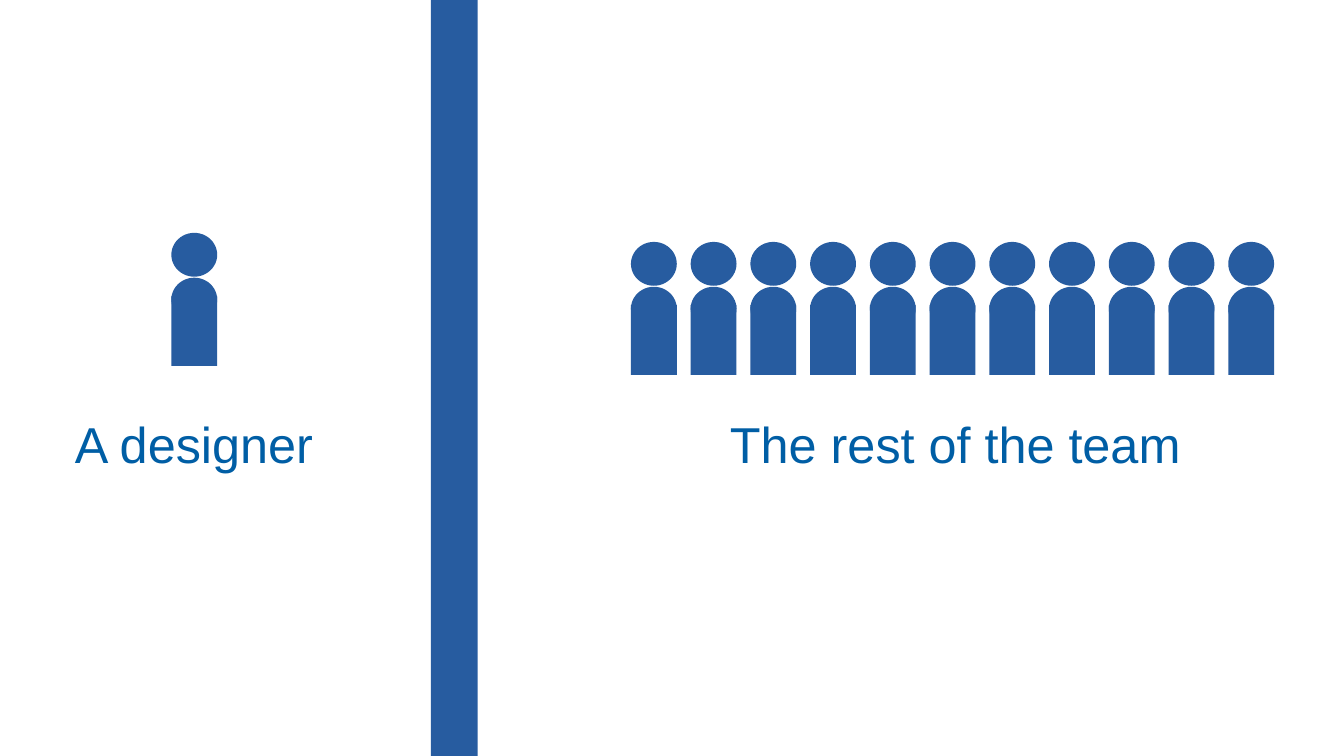
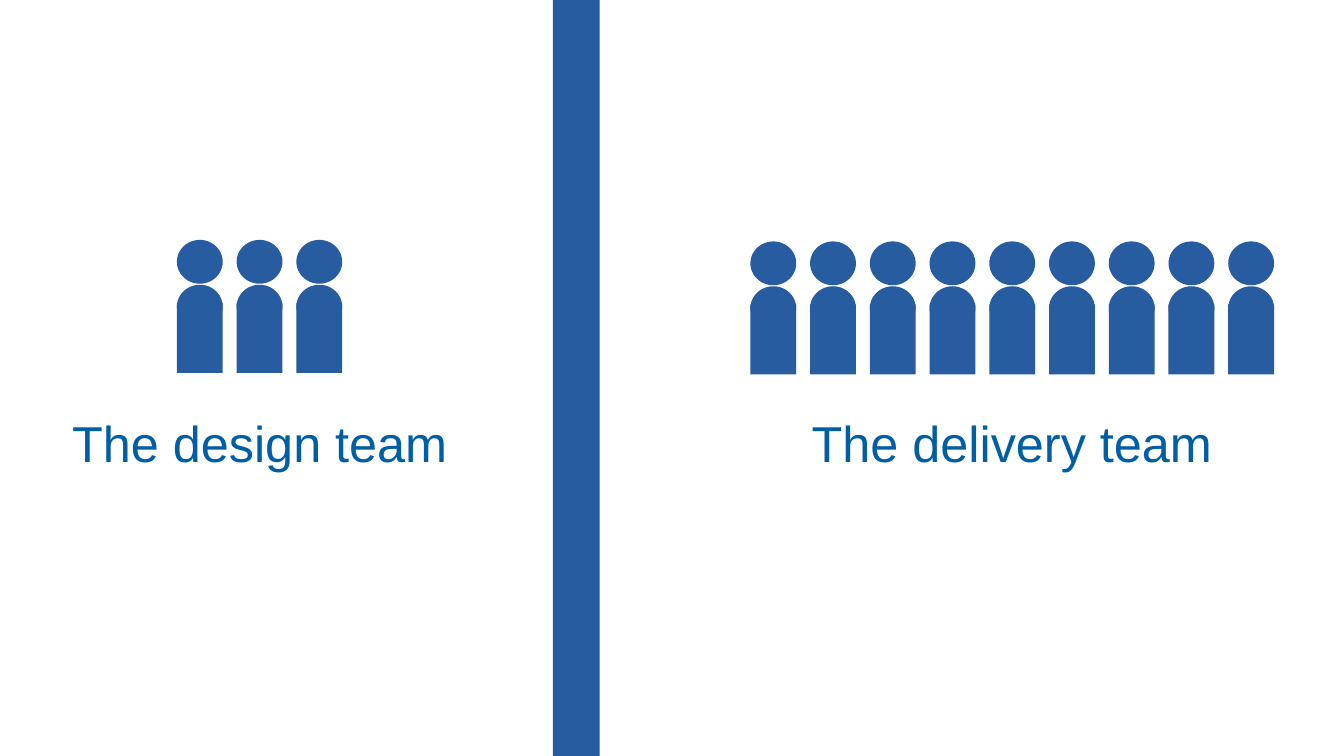
from pptx import Presentation
from pptx import util as u
from pptx.dml.color import RGBColor
from pptx.enum import shapes, text

COLORS = {"figure": "275CA0", "label": "005EA5"}
FONT = "Arial"
W, H = 26.67, 15
PITCH = W / 22.5  # one column per person
PERSON_W, HEAD_H = 0.91, 0.87
BAR_W, BLEED = 0.93, 0.8
LABEL_H = 2.81

# Parts of a person: preset shape, offset from the top of the head, height
PERSON = [
    (shapes.MSO_SHAPE.OVAL, 0, HEAD_H),
    (shapes.MSO_SHAPE.OVAL, 0.89, HEAD_H),
    (shapes.MSO_SHAPE.RECTANGLE, 1.25, 1.39),
]

# Each team: label, label left, label width, people, first person's left, top
SLIDES = [
    {"bar": 8.55, "label_top": 7.39, "teams": [
        ("A designer", 0.76, 6.18, 1, 3.4, 4.62),
        ("The rest of the team", 12.44, 13.04, 11, 12.52, 4.8)]},
    {"bar": 10.97, "label_top": 7.37, "teams": [
        ("The design team", 0.46, 9.39, 3, 3.51, 4.76),
        ("The delivery team", 13.56, 13.04, 9, 14.89, 4.79)]},
]


def add_block(parent, preset, x, y, w, h):
    """Add a plain filled shape to a slide's or a group's shapes."""
    sp = parent.add_shape(preset, u.Inches(x), u.Inches(y), u.Inches(w), u.Inches(h))
    sp.shadow.inherit = False
    sp.fill.solid()
    sp.fill.fore_color.rgb = RGBColor.from_string(COLORS["figure"])
    sp.line.fill.background()


def write_label(sp, label, x, y, w):
    sp.left, sp.top, sp.width, sp.height = (u.Inches(v) for v in (x, y, w, LABEL_H))
    tf = sp.text_frame
    tf.word_wrap = True
    tf.auto_size = text.MSO_AUTO_SIZE.NONE
    tf.vertical_anchor = text.MSO_ANCHOR.MIDDLE
    tf.margin_left = tf.margin_right = tf.margin_top = tf.margin_bottom = u.Inches(0.06)
    p = tf.paragraphs[0]
    p.alignment = text.PP_ALIGN.CENTER
    r = p.add_run()
    r.text = label
    r.font.name = FONT
    r.font.size = u.Pt(72)
    r.font.color.rgb = RGBColor.from_string(COLORS["label"])


prs = Presentation()
prs.slide_width, prs.slide_height = u.Inches(W), u.Inches(H)
title_only = prs.slide_layouts[5]

for content in SLIDES:
    s = prs.slides.add_slide(title_only)
    for i, (label, label_x, label_w, people, left, top) in enumerate(content["teams"]):
        for n in range(people):
            person = s.shapes.add_group_shape()
            for preset, dy, h in PERSON:
                add_block(person.shapes, preset, left + n * PITCH, top + dy, PERSON_W, h)
        # The first team's label is the slide title
        sp = s.shapes.title if i == 0 else s.shapes.add_textbox(0, 0, 0, 0)
        write_label(sp, label, label_x, content["label_top"], label_w)
    add_block(s.shapes, shapes.MSO_SHAPE.RECTANGLE,
              content["bar"], -BLEED, BAR_W, H + 2 * BLEED)

prs.save("out.pptx")
